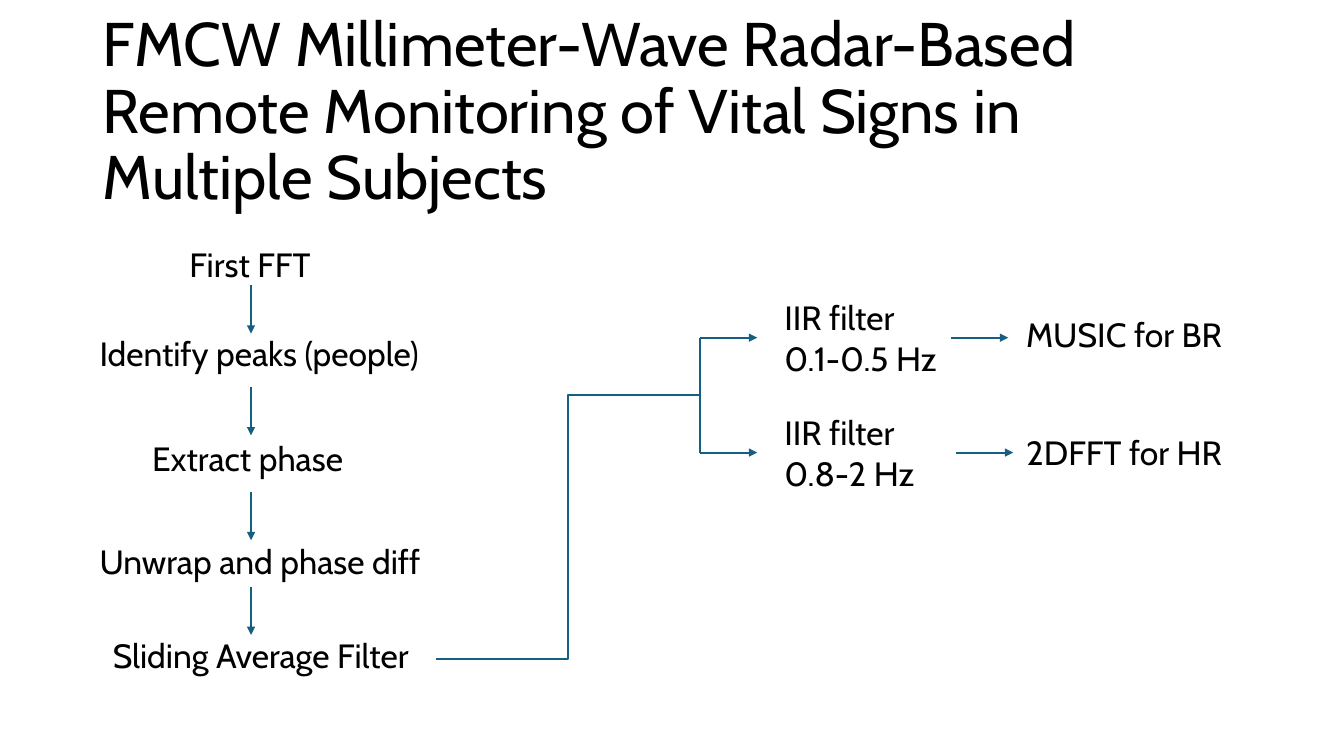
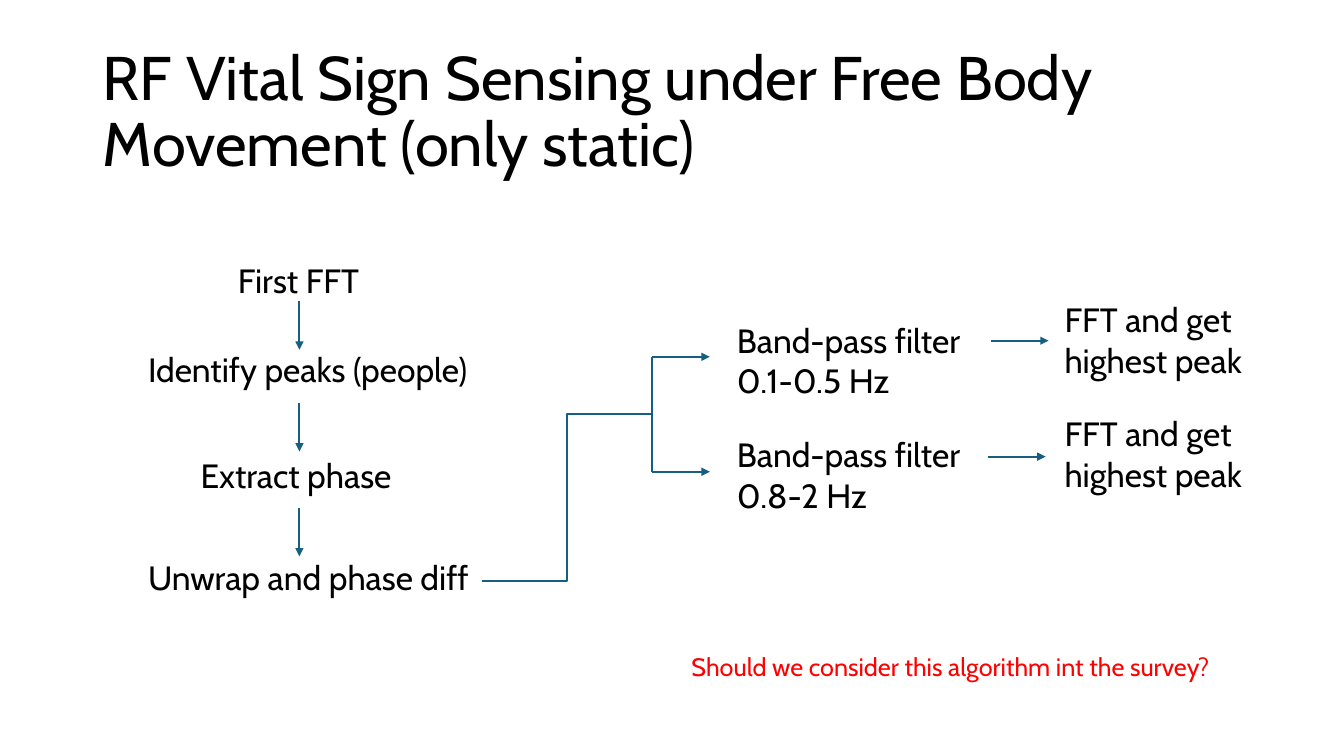
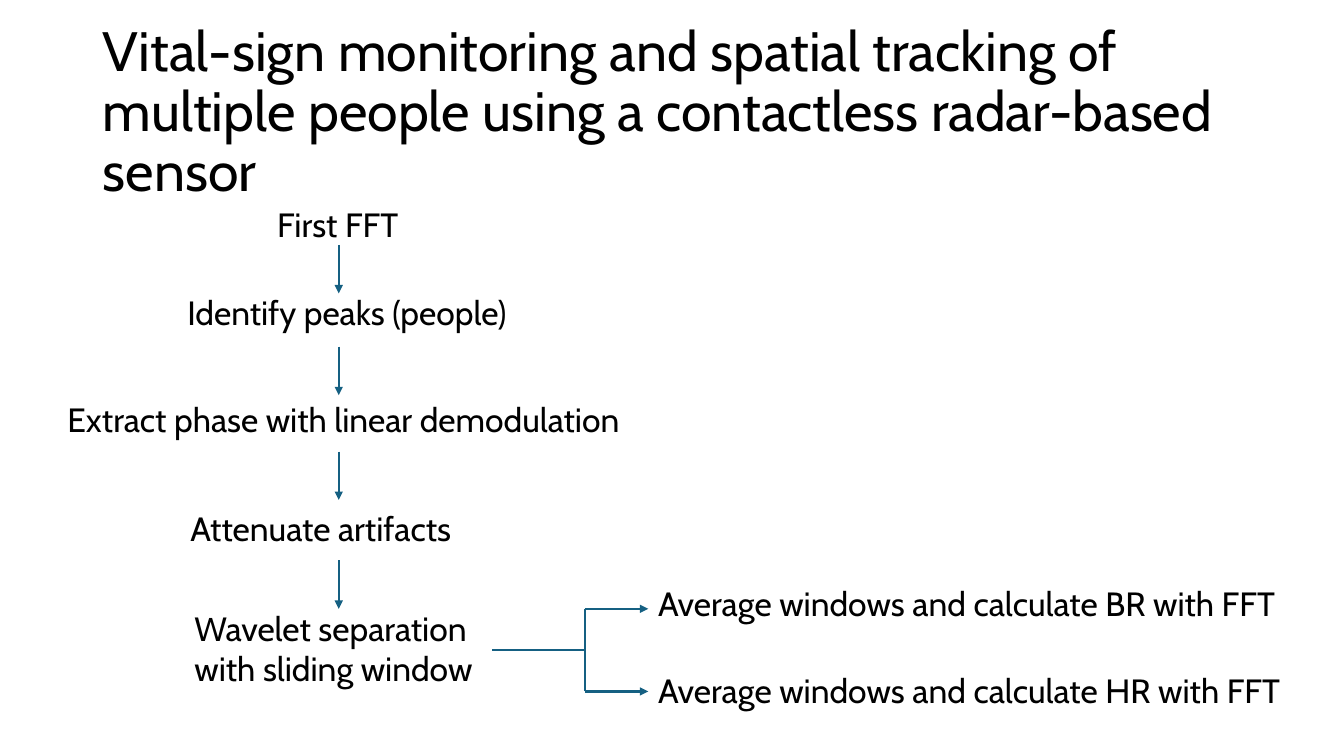
from lxml import etree
from pptx import Presentation
from pptx.dml.color import RGBColor
from pptx.enum.shapes import MSO_CONNECTOR
from pptx.enum.text import MSO_ANCHOR, MSO_AUTO_SIZE, PP_ALIGN
from pptx.oxml.ns import qn
from pptx.util import Inches, Pt

STRAIGHT, ELBOW = MSO_CONNECTOR.STRAIGHT, MSO_CONNECTOR.ELBOW
TOP, MIDDLE = MSO_ANCHOR.TOP, MSO_ANCHOR.MIDDLE
FIXED, LEFT = MSO_AUTO_SIZE.NONE, PP_ALIGN.LEFT
BOTTOM_SIDE, LEFT_SIDE, RIGHT_SIDE = 2, 1, 3

CELL = 0.1
COLORS = {"ink": "000000", "flow": "156082", "note": "FF0000", "paper": "FFFFFF"}
TITLE_AREA = (9.2, 4, 115, 14.5)
TITLE_FRAME = {"word_wrap": True, "auto_size": FIXED, "vertical_anchor": MIDDLE}
LABEL_FRAME = {"word_wrap": True, "auto_size": FIXED, "vertical_anchor": TOP,
               "margin_bottom": 0}
TITLE_PARA = {"alignment": LEFT, "line_spacing": 0.9}
LABEL_PARA = {"alignment": LEFT}
STEP_HEIGHT = 5
ARROW_LENGTH = 4.8
BRANCH_LENGTH = 5.7


def cells(*counts):
    """Turn counts of grid cells into lengths."""
    return [Inches(round(count * CELL, 3)) for count in counts]


def assign(target, values):
    """Set every attribute named in a dict."""
    for name, value in values.items():
        setattr(target, name, value)


class FlowDeck:
    """Hold the shared style and the slide being built."""

    def __init__(self):
        """Start an empty wide deck."""
        self.deck = Presentation()
        self.deck.slide_width, self.deck.slide_height = Inches(13.33), Inches(7.5)
        self.page = None

    def fill_text(self, box, lines, frame, para_style, size, color):
        """Fill a box with one formatted paragraph per line."""
        assign(box.text_frame, frame)
        box.text_frame.text = "\n".join(lines)
        for para in box.text_frame.paragraphs:
            assign(para, para_style)
            for span in para.runs:
                assign(span.font, {"name": "Cabin", "size": Pt(size), "bold": False})
                span.font.color.rgb = RGBColor.from_string(COLORS[color])

    def new_page(self, title, size=44):
        """Add a slide with its title."""
        self.page = self.deck.slides.add_slide(self.deck.slide_layouts[5])
        fill = self.page.background.fill
        fill.solid()
        fill.fore_color.rgb = RGBColor.from_string(COLORS["paper"])
        box = self.page.shapes.title
        assign(box, dict(zip(("left", "top", "width", "height"), cells(*TITLE_AREA))))
        self.fill_text(box, [title], TITLE_FRAME, TITLE_PARA, size, "ink")

    def label(self, lines, left, top, width, height=STEP_HEIGHT, size=24, color="ink"):
        """Place a text label on the grid."""
        box = self.page.shapes.add_textbox(*cells(left, top, width, height))
        self.fill_text(box, lines, LABEL_FRAME, LABEL_PARA, size, color)
        return box

    def line(self, start, end, arrow=False, kind=STRAIGHT, source=None, target=None):
        """Draw a connector, joined to boxes where they are given."""
        connector = self.page.shapes.add_connector(kind, *cells(*start, *end))
        connector.line.color.rgb = RGBColor.from_string(COLORS["flow"])
        connector.line.width = Pt(1.5)
        properties = connector._element.spPr
        if arrow:
            stroke = properties.find(qn("a:ln"))
            etree.SubElement(stroke, qn("a:tailEnd")).set("type", "triangle")
        etree.SubElement(properties, qn("a:effectLst"))
        if source is not None:
            connector.begin_connect(*source)
        if target is not None:
            connector.end_connect(*target)

    def chain(self, axis, top, steps, arrow_drops):
        """Stack steps under First FFT, with arrows along one axis."""
        box = self.label(["First FFT"], axis - 7.1, top, 14.2, arrow_drops[0])
        source = (box, BOTTOM_SIDE)
        for lines, shift, drop, width, height in steps:
            box = self.label(lines, axis + shift, top + drop, width, height)
        for drop in arrow_drops:
            start = top + drop
            self.line((axis, start), (axis, start + ARROW_LENGTH), True, source=source)
            source = None
        return box

    def fork(self, start, joint, spread, length=BRANCH_LENGTH, kind=ELBOW,
             source=None, targets=(None, None)):
        """Split one line into an upper and a lower arrow."""
        column, row = joint
        rows = (row - spread, row + spread)
        self.line(start, joint, kind=kind, source=source)
        self.line((column, rows[1]), (column, rows[0]))
        for branch, target in zip(rows, targets):
            self.line((column, branch), (column + length, branch), True, target=target)

    def outcomes(self, left, width, rows):
        """Place each filter with its result and the arrow between them."""
        for name, band, top, result, result_area, arrow_start in rows:
            self.label([name, band], left, top, width, 9.1)
            self.label([result], *result_area)
            column, row = arrow_start
            self.line(arrow_start, (column + BRANCH_LENGTH, row), True)


IDENTIFY = (["Identify peaks (people)"], -16, 8.8, 35, STEP_HEIGHT)
EXTRACT = (["Extract phase"], -10.8, 19.3, 21.8, STEP_HEIGHT)
UNWRAP = (["Unwrap and phase diff"], -16, 29.5, 34.5, STEP_HEIGHT)
SLIDING = (["Sliding Average Filter"], -14.7, 38.8, 31.9, STEP_HEIGHT)
DEMODULATE = (["Extract phase with linear demodulation"], -27.9, 19.4, 58.6, STEP_HEIGHT)
ATTENUATE = (["Attenuate artifacts"], -15.7, 30.2, 34.5, STEP_HEIGHT)
WAVELET = (["Wavelet separation with sliding window"], -15.3, 40.1, 30.5, 9.4)
ARROW_DROPS = [4.6, 14.7, 25.1]


def main():
    """Build and save the three slides."""
    flow = FlowDeck()

    flow.new_page("FMCW Millimeter-Wave Radar-Based Remote Monitoring of Vital Signs "
                  "in Multiple Subjects")
    flow.chain(24.9, 23.7, [IDENTIFY, EXTRACT, UNWRAP, SLIDING], ARROW_DROPS + [34.5])
    flow.fork((43.2, 65.4), (69.4, 39.2), 5.7)
    flow.outcomes(76.8, 18.8, [
        ("IIR filter", "0.1-0.5 Hz", 29, "MUSIC for BR",
         (100.8, 30.7, 22.1, 5), (94.3, 33.5)),
        ("IIR filter", "0.8-2 Hz", 40.4, "2DFFT for HR",
         (100.8, 42.4, 22.1, 8.1), (94.8, 44.9)),
    ])

    flow.new_page("RF Vital Sign Sensing under Free Body Movement (only static)")
    flow.chain(29.7, 25.3, [IDENTIFY, EXTRACT, UNWRAP], ARROW_DROPS)
    flow.fork((47.8, 57.6), (64.7, 41.1), 5.7)
    flow.outcomes(72.1, 26.2, [
        ("Band-pass filter", "0.1-0.5 Hz", 31.2, "FFT and get highest peak",
         (104.6, 29.2, 22.1, 9.1), (98.3, 33.8)),
        ("Band-pass filter", "0.8-2 Hz", 42.6, "FFT and get highest peak",
         (104.6, 40.5, 22.1, 12.1), (98, 45.3)),
    ])
    flow.label(["Should we consider this algorithm int the survey?"],
               67.6, 64.1, 55, 4, 18, "note")

    flow.new_page("Vital-sign monitoring and spatial tracking of multiple people using "
                  "a contactless radar-based sensor", 39.6)
    wavelet = flow.chain(33.6, 19.7, [IDENTIFY, DEMODULATE, ATTENUATE, WAVELET],
                         ARROW_DROPS + [35.9])
    rates = [flow.label([f"Average windows and calculate {rate} with FFT"],
                        64.3, top, 66.6, height)
             for rate, top, height in (("BR", 57.3, 6.2), ("HR", 66, 5.2))]
    flow.fork((48.8, 64.5), (58, 64.5), 4.1, 6.3, STRAIGHT, (wavelet, RIGHT_SIDE),
              [(box, LEFT_SIDE) for box in rates])

    flow.deck.save("out.pptx")


if __name__ == "__main__":
    main()
